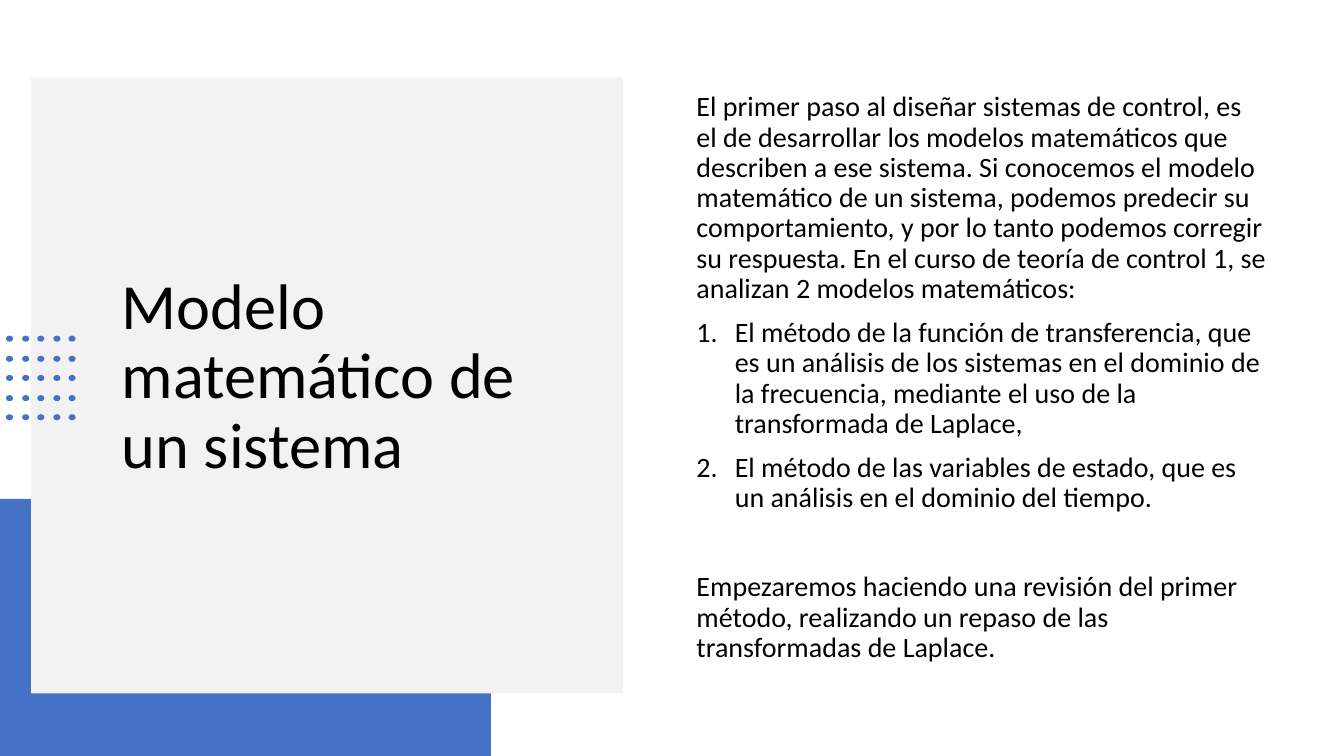
from dataclasses import dataclass
from lxml import etree
from pptx import Presentation, util as u
from pptx.dml.color import RGBColor
from pptx.enum import shapes, text
from pptx.oxml.ns import qn


@dataclass
class Theme:
    blue: str = "4472C4"
    grey: str = "F2F2F2"
    ink: str = "000000"
    font: str = "Calibri"
    title: int = 46
    body: int = 20


theme = Theme()
PX = 9144  # 100 px to the inch
KIND = shapes.MSO_SHAPE

deck = Presentation()
deck.slide_width, deck.slide_height = 1333 * PX, 750 * PX
slide = deck.slides.add_slide(deck.slide_layouts[6])


def draw(home, kind, box, color):
    item = home.add_shape(kind, *[n * PX for n in box])
    item.shadow.inherit = False
    item.fill.solid()
    item.fill.fore_color.rgb = RGBColor.from_string(color)
    item.line.fill.background()


def write(box, size, paras):
    frame = slide.shapes.add_textbox(*[n * PX for n in box]).text_frame
    frame.word_wrap = True
    frame.vertical_anchor = text.MSO_ANCHOR.MIDDLE
    for i, (words, gap, listed) in enumerate(paras):
        para = frame.paragraphs[0] if i == 0 else frame.add_paragraph()
        para.line_spacing = 0.9
        para.space_before = u.Pt(gap)
        if listed:
            props = para._p.get_or_add_pPr()
            props.set("marL", str(38 * PX))
            props.set("indent", str(-38 * PX))
            etree.SubElement(props, qn("a:buFont"), typeface="+mj-lt")
            etree.SubElement(props, qn("a:buAutoNum"), type="arabicPeriod")
        run = para.add_run()
        run.text = words
        run.font.name = theme.font
        run.font.size = u.Pt(size)
        run.font.color.rgb = RGBColor.from_string(theme.ink)


# Corner block and title panel
draw(slide.shapes, KIND.RECTANGLE, (0, 495, 487, 255), theme.blue)
draw(slide.shapes, KIND.RECTANGLE, (31, 77, 587, 611), theme.grey)

# Title
write((111, 147, 459, 456), theme.title,
      [("Modelo matemático de un sistema", 0, False)])

# Dot grid, 15.5 by 19.5 px apart
dots = slide.shapes.add_group_shape()
for col in range(5):
    for row in range(5):
        spot = ((13 + 31 * col) // 2, (667 + 39 * row) // 2, 7, 6)
        draw(dots.shapes, KIND.OVAL, spot, theme.blue)

# Body: words, space before in points, numbered or not
write((681, 82, 587, 586), theme.body, [
    ("El primer paso al diseñar sistemas de control, es el de desarrollar "
     "los modelos matemáticos que describen a ese sistema. Si conocemos el "
     "modelo matemático de un sistema, podemos predecir su comportamiento, "
     "y por lo tanto podemos corregir su respuesta. En el curso de teoría "
     "de control 1, se analizan 2 modelos matemáticos:", 10, False),
    ("El método de la función de transferencia, que es un análisis de los "
     "sistemas en el dominio de la frecuencia, mediante el uso de la "
     "transformada de Laplace,", 10, True),
    ("El método de las variables de estado, que es un análisis en el "
     "dominio del tiempo.", 10, True),
    ("Empezaremos haciendo una revisión del primer método, realizando un "
     "repaso de las transformadas de Laplace.", 42, False),
])

deck.save("out.pptx")
